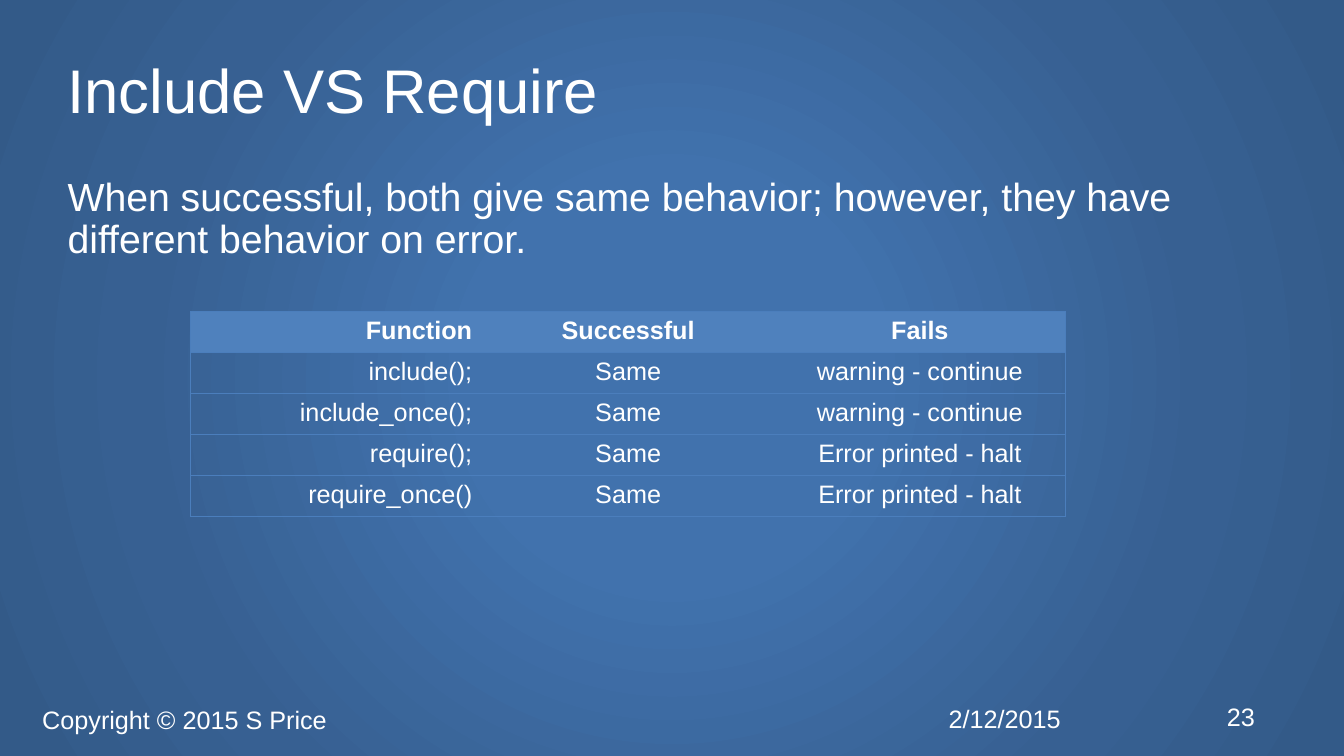
import dataclasses

import lxml.etree
import pptx
import pptx.dml.color
import pptx.enum.text
import pptx.oxml
import pptx.oxml.ns
import pptx.util

Inches = pptx.util.Inches
Align = pptx.enum.text.PP_ALIGN
Anchor = pptx.enum.text.MSO_ANCHOR
FONT = "Arial"
WHITE, HEAD, RULE = "FFFFFF", "4F81BD", "4B7EBC"
STOPS = [(0, "4172AD"), (26, "4172AD"), (69, "376092"), (97, "335A88")]
ALIGNS = [Align.RIGHT, Align.CENTER, Align.CENTER]
ROWS = [
    ["Function", "Successful", "Fails"],
    ["include();", "Same", "warning - continue"],
    ["include_once();", "Same", "warning - continue"],
    ["require();", "Same", "Error printed - halt"],
    ["require_once()", "Same", "Error printed - halt"],
]


@dataclasses.dataclass
class Label:
    text: str
    left: float
    top: float
    width: float
    height: float
    size: int = 18
    inset: tuple[float, float] = (0.1, 0.05)
    format: dict = dataclasses.field(default_factory=dict)


TITLE = Label("Include VS Require", 0.67, 0.3, 12, 1.25, 44, (0, 0),
              {"line_spacing": 0.9})
BODY = Label("When successful, both give same behavior; however, "
             "they have different behavior on error.",
             0.67, 1.75, 11.21, 0.86, 28, (0, 0),
             {"line_spacing": 0.9, "space_before": pptx.util.Pt(10)})
FOOTS = [
    Label("2/12/2015", 9.31, 6.92, 1.75, 0.41),
    Label("Copyright © 2015 S Price", 0.32, 6.93, 8.99, 0.41),
    Label("23", 12.07, 6.9, 0.6, 0.41),
]


def color(code: str) -> pptx.dml.color.RGBColor:
    return pptx.dml.color.RGBColor.from_string(code)


def apply(item, values: dict) -> None:
    for name, value in values.items():
        setattr(item, name, value)


def write(frame, text: str, size: int, bold: bool = False, **layout) -> None:
    para = frame.paragraphs[0]
    apply(para, layout)
    run = para.add_run()
    run.text = text
    apply(run.font, {"name": FONT, "size": pptx.util.Pt(size), "bold": bold})
    run.font.color.rgb = color(WHITE)


def place(shape, label: Label) -> None:
    for name in ("left", "top", "width", "height"):
        setattr(shape, name, Inches(getattr(label, name)))
    side, edge = map(Inches, label.inset)
    apply(shape.text_frame, {
        "word_wrap": True, "vertical_anchor": Anchor.MIDDLE,
        "auto_size": pptx.enum.text.MSO_AUTO_SIZE.NONE,
        "margin_left": side, "margin_right": side,
        "margin_top": edge, "margin_bottom": edge})
    write(shape.text_frame, label.text, label.size,
          alignment=Align.LEFT, **label.format)


def paint(slide) -> None:
    slide.background.fill.gradient()
    grad = next(slide.element.iter(pptx.oxml.ns.qn("a:gradFill")))
    for child in list(grad):
        grad.remove(child)
    space = pptx.oxml.ns.nsdecls("a")
    stops = "".join(f'<a:gs pos="{pos * 1000}"><a:srgbClr val="{code}"/></a:gs>'
                    for pos, code in STOPS)
    grad.append(pptx.oxml.parse_xml(f"<a:gsLst {space}>{stops}</a:gsLst>"))
    grad.append(pptx.oxml.parse_xml(
        f'<a:path {space} path="circle"><a:fillToRect l="50000" t="50000" '
        'r="50000" b="50000"/></a:path>'))


def border(cell, sides: str) -> None:
    props = cell._tc.get_or_add_tcPr()
    for index, side in enumerate("LRTB"):
        line = lxml.etree.Element(pptx.oxml.ns.qn(f"a:ln{side}"),
                                  w=str(pptx.util.Pt(0.75)))
        if side in sides:
            fill = lxml.etree.SubElement(line, pptx.oxml.ns.qn("a:solidFill"))
            lxml.etree.SubElement(fill, pptx.oxml.ns.qn("a:srgbClr"), val=RULE)
        else:
            lxml.etree.SubElement(line, pptx.oxml.ns.qn("a:noFill"))
        props.insert(index, line)


def grid(slide) -> None:
    count = len(ALIGNS)
    table = slide.shapes.add_table(
        len(ROWS), count, Inches(1.89), Inches(3.09),
        Inches(8.68), Inches(2.03)).table
    apply(table, {"first_row": False, "horz_banding": False})
    for row, texts in enumerate(ROWS):
        for col, text in enumerate(texts):
            cell = table.cell(row, col)
            write(cell.text_frame, text, 18, row == 0, alignment=ALIGNS[col])
            if row == 0:
                cell.fill.solid()
                cell.fill.fore_color.rgb = color(HEAD)
            else:
                cell.fill.background()
            border(cell, "TB" + "L" * (col == 0) + "R" * (col == count - 1))


def main() -> None:
    deck = pptx.Presentation()
    apply(deck, {"slide_width": Inches(13.33), "slide_height": Inches(7.5)})
    slide = deck.slides.add_slide(deck.slide_layouts.get_by_name("Title Only"))
    paint(slide)
    place(slide.shapes.title, TITLE)
    for label in [BODY, *FOOTS]:
        place(slide.shapes.add_textbox(0, 0, 0, 0), label)
    grid(slide)
    deck.save("out.pptx")


main()
